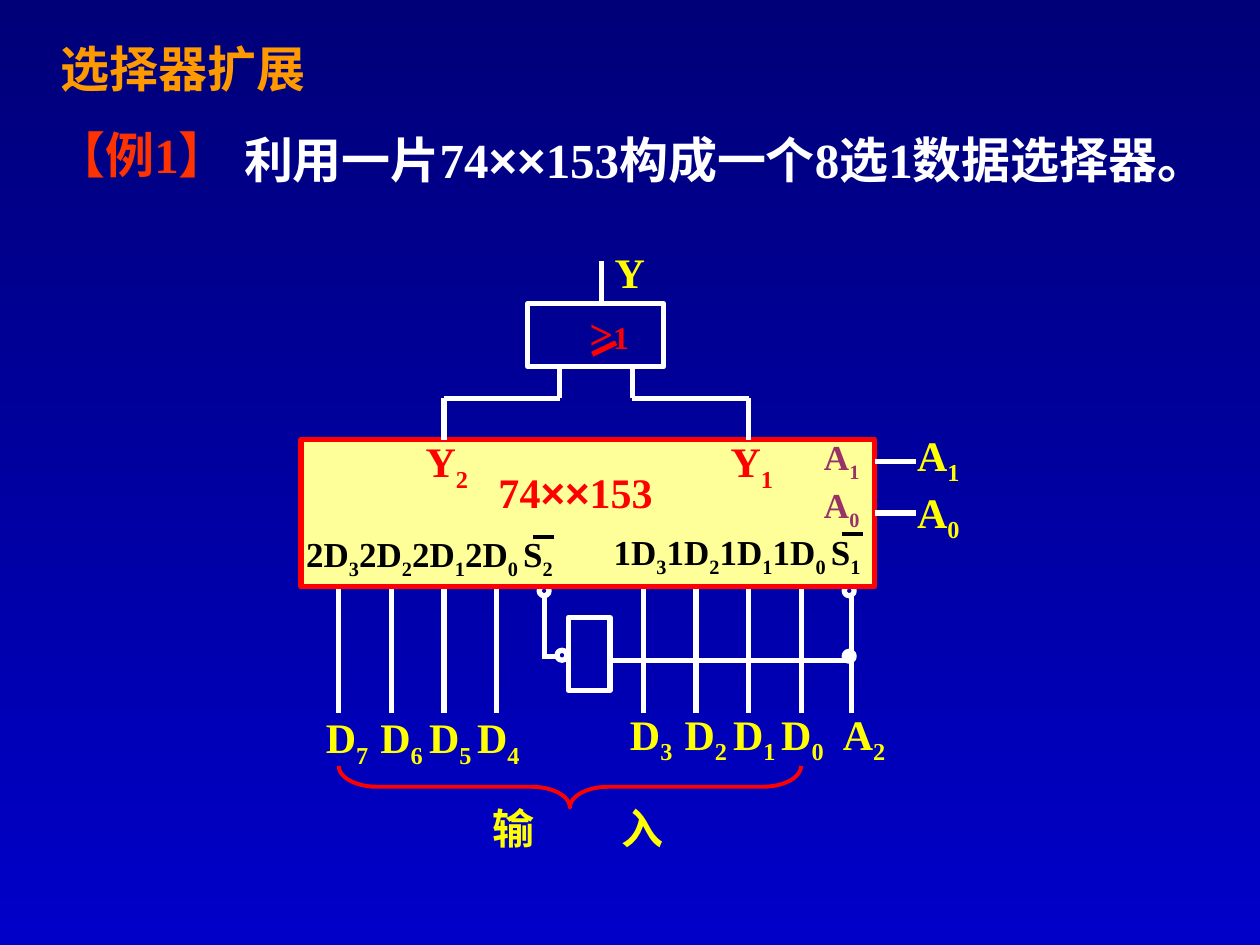
from itertools import groupby

from lxml import etree
from pptx import Presentation
from pptx.dml.color import RGBColor
from pptx.enum.shapes import MSO_CONNECTOR, MSO_SHAPE
from pptx.enum.text import MSO_ANCHOR
from pptx.oxml.ns import qn
from pptx.util import Cm, Pt

RECT, OVAL, BRACE = MSO_SHAPE.RECTANGLE, MSO_SHAPE.OVAL, MSO_SHAPE.LEFT_BRACE
STRAIGHT = MSO_CONNECTOR.STRAIGHT
MIDDLE = MSO_ANCHOR.MIDDLE

WHITE, BLACK, RED, YELLOW = "FFFFFF", "000000", "FF0000", "FFFF00"
ORANGE, SCARLET, CREAM, PLUM = "FF9900", "FF3300", "FFFF99", "993366"


def tint(code):
    return RGBColor.from_string(code)


class Board:
    font, sign = "Times New Roman", "Arial"

    def __init__(self, deck):
        self.slide = deck.slides.add_slide(deck.slide_layouts[6])
        self.shapes = self.slide.shapes

    def shade(self, top, base):
        fill = self.slide.background.fill
        fill.gradient()
        fill.gradient_angle = 270
        for stop, code in zip(fill.gradient_stops, (top, base)):
            stop.color.rgb = tint(code)

    def line(self, x1, y1, x2, y2, color=WHITE, width=3):
        wire = self.shapes.add_connector(STRAIGHT, Cm(x1), Cm(y1), Cm(x2), Cm(y2))
        wire.line.color.rgb = tint(color)
        wire.line.width = Pt(width)
        etree.SubElement(wire._element.spPr, qn("a:effectLst"))

    def shape(self, kind, x, y, w, h, color=WHITE, fill=None, width=3):
        item = self.shapes.add_shape(kind, Cm(x), Cm(y), Cm(w), Cm(h))
        item.shadow.inherit = False
        if fill:
            item.fill.solid()
            item.fill.fore_color.rgb = tint(fill)
        else:
            item.fill.background()
        item.line.color.rgb = tint(color)
        item.line.width = Pt(width)
        return item

    def text(self, words, x, y, w, h, color=YELLOW, size=24, wrap=True, tabs=()):
        """Add a text box; an underscore lowers the character after it."""
        frame = self.shapes.add_textbox(Cm(x), Cm(y), Cm(w), Cm(h)).text_frame
        frame.word_wrap = wrap
        for i, row in enumerate(words.split("\n")):
            para = frame.add_paragraph() if i else frame.paragraphs[0]
            if tabs:
                stops = etree.SubElement(para._p.get_or_add_pPr(), qn("a:tabLst"))
                for pos in tabs:
                    etree.SubElement(stops, qn("a:tab"), pos=str(Cm(pos)), algn="l")
            marks = [(c, row[:j].endswith("_")) for j, c in enumerate(row) if c != "_"]
            for (low, cross), part in groupby(marks, lambda m: (m[1], m[0] == "×")):
                run = para.add_run()
                run.text = "".join(c for c, _ in part)
                run.font.name = self.sign if cross else self.font
                run.font.size, run.font.bold = Pt(size), True
                run.font.color.rgb = tint(color)
                if low:
                    run.font._element.set("baseline", "-25000")
        return frame


def head(board):
    title = board.text("选择器扩展", 0.97, 0.71, 6.5, 1.3, ORANGE, 28)
    title.vertical_anchor = MIDDLE
    board.text("【例1】", 0.89, 2.39, 4.55, 1.45, SCARLET, 28)
    board.text("利用一片74××153构成一个8选1数据选择器。",
               4.67, 2.49, 20.07, 2.64, WHITE, 28)


def enable(board):
    """Draw the A2 line and the inverter that drive the two strobes."""
    dot = 0.2
    board.line(10.97, 12.01, 10.97, 13.28)
    for x in (17.02, 10.87):
        board.shape(OVAL, x, 11.81, dot, dot)
    board.shape(RECT, 11.46, 12.45, 0.84, 1.47)
    board.line(12.29, 13.31, 17.17, 13.31)
    board.line(11, 13.23, 11.2, 13.23)
    board.shape(OVAL, 11.23, 13.11, dot, dot)
    board.shape(OVAL, 17.02, 13.13, dot, dot, fill=WHITE)
    board.line(17.17, 12.04, 17.17, 14.38)
    board.text("A_2", 16.74, 14.15, 1.6, 1.42)


def inputs(board):
    for left in (6.83, 12.97):
        for i in range(4):
            x = left + 1.06 * i
            board.line(x, 11.84, x, 14.38)
    gaps = (1.1, 2.08, 3.05)
    board.text("D_7\tD_6\tD_5\tD_4", 6.32, 14.22, 4.7, 1.42, tabs=gaps)
    board.text("D_3\tD_2\tD_1\tD_0", 12.45, 14.15, 4.7, 1.42, tabs=gaps)
    brace = board.shape(BRACE, 11.07, 11.2, 0.84, 9.32, RED, width=2.25)
    brace.rotation = 270
    brace.adjustments[0] = 0.92
    board.text("输\t入", 9.68, 16.05, 4.2, 1.27, tabs=(2.6,))


def chip(board):
    board.shape(RECT, 6.07, 8.86, 11.56, 2.97, RED, CREAM)
    board.text("A_1\nA_0", 16.36, 8.66, 1.37, 2.18, PLUM, 20)
    board.text("74××153", 9.8, 9.27, 3.96, 1.27, RED, wrap=False)
    halves = ((2, 5.92, 10.62, 8.33, 10.74, 10.82),
              (1, 12.12, 10.57, 14.48, 16.97, 10.77))
    for n, x, y, out, bar, top in halves:
        pins = "".join(f"{n}D_{i}" for i in (3, 2, 1, 0))
        board.text(f"{pins}_ S_{n}", x, y, 5.9, 1.22, BLACK, 20)
        board.text(f"Y_{n}", out, 8.66, 1.37, 1.42, RED, wrap=False)
        board.line(bar, top, bar + 0.42, top, BLACK, 2.25)
    for n, y, top in ((0, 10.34, 9.68), (1, 9.3, 8.53)):
        board.line(17.63, y, 18.47, y)
        board.text(f"A_{n}", 18.24, top, 1.6, 1.42)


def gate(board):
    """Draw the OR gate that joins both outputs into Y."""
    low, bend, high = 8.86, 8.03, 7.39
    board.text("Y", 12.14, 4.85, 1.12, 1.27, wrap=False)
    board.shape(RECT, 10.64, 6.12, 2.74, 1.27)
    for out, leg in ((8.95, 11.28), (15.09, 12.75)):
        board.line(out, bend, out, low)
        board.line(min(out, leg), bend, max(out, leg), bend)
        board.line(leg, high, leg, bend)
    board.line(12.12, 5.26, 12.12, 6.12)
    para = board.text(">", 11.63, 6.07, 1.3, 1.27, RED, wrap=False).paragraphs[0]
    one = para.add_run()
    one.text = "1"
    one.font.name, one.font.size, one.font.bold = board.font, Pt(18), True
    one.font.color.rgb = tint(RED)
    board.line(12.42, 6.91, 11.94, 7.14, RED)


def main():
    deck = Presentation()
    deck.slide_width, deck.slide_height = Cm(25.4), Cm(19.05)
    board = Board(deck)
    board.shade("000078", "0000C8")
    for draw in (head, enable, inputs, chip, gate):
        draw(board)
    deck.save("out.pptx")


if __name__ == "__main__":
    main()
